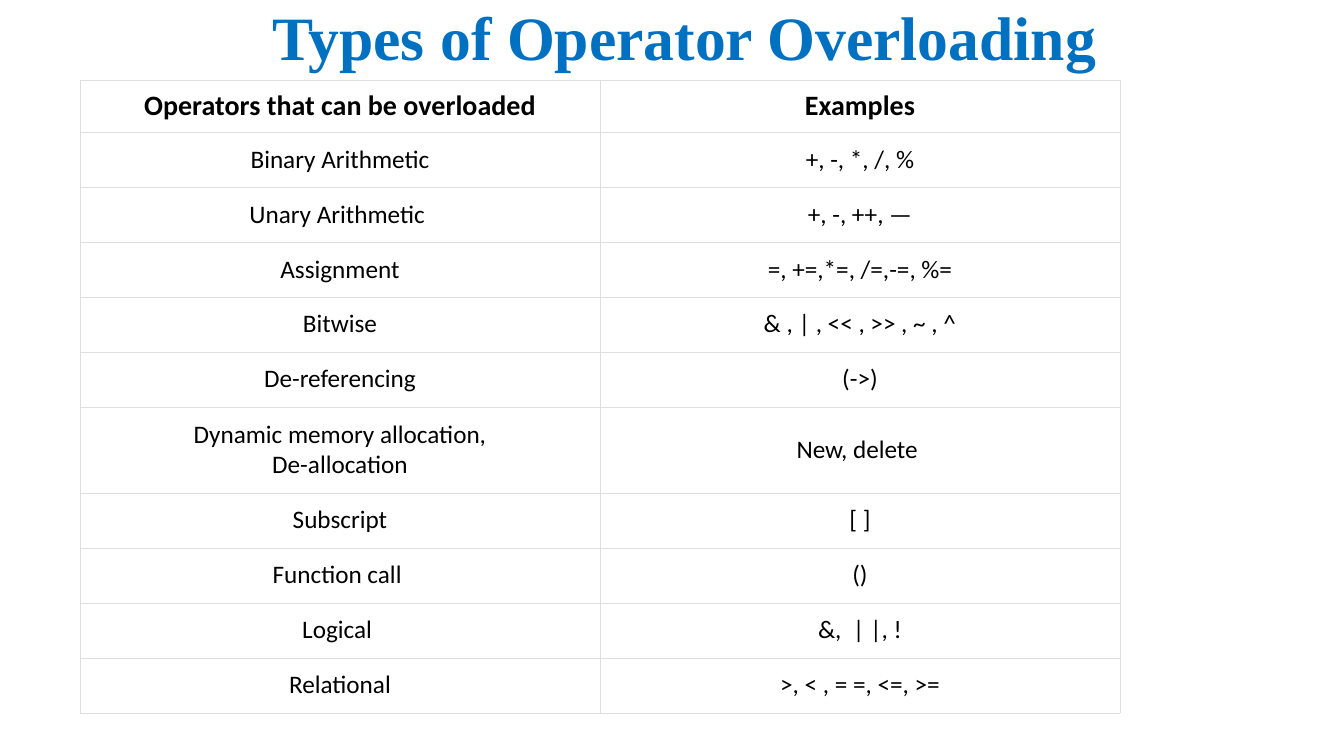
from lxml.etree import SubElement as Sub
from pptx import Presentation
from pptx.dml.color import RGBColor
from pptx.enum.text import MSO_ANCHOR as Anchor, PP_ALIGN as Align
from pptx.oxml.ns import qn
from pptx.util import Emu, Pt

SCALE = 914400 / 100.8
HEAD = ("Operators that can be overloaded", "Examples")
ROWS = [
    ("Binary Arithmetic", "+, -, *, /, %"),
    ("Unary Arithmetic ", "+, -, ++, —"),
    ("Assignment", "=, +=,*=, /=,-=, %="),
    ("Bitwise", "& , | , << , >> , ~ , ^"),
    ("De-referencing", "(->)"),
    ("Dynamic memory allocation,\vDe-allocation", "New, delete "),
    ("Subscript", "[ ]"),
    ("Function call ", "()"),
    ("Logical ", "&,  | |, !"),
    ("Relational", ">, < , = =, <=, >="),
]


def px(count):
    return Emu(round(count * SCALE))


def color(code):
    return RGBColor.from_string(code)


def style(para, face, size, code, bold):
    para.alignment = Align.CENTER
    font = para.font
    font.name, font.size, font.bold = face, Pt(size), bold
    font.color.rgb = color(code)


def add_title(slide, text, left, top, width, height):
    box = slide.shapes.add_textbox(px(left), px(top), px(width), px(height))
    frame = box.text_frame
    frame.word_wrap = True
    frame.vertical_anchor = Anchor.MIDDLE
    frame.text = text
    para = frame.paragraphs[0]
    para.line_spacing = 0.9
    style(para, "Times New Roman", 44, "0070C0", True)


def add_edges(cell, code, width):
    props = cell._tc.get_or_add_tcPr()
    for side in ("a:lnL", "a:lnR", "a:lnT", "a:lnB"):
        line = Sub(props, qn(side), w=str(Pt(width)))
        fill = Sub(line, qn("a:solidFill"))
        Sub(fill, qn("a:srgbClr"), val=code)


def fill_cell(cell, text, size, bold, side, edge):
    add_edges(cell, "DFDFDF", 0.23)
    cell.fill.solid()
    cell.fill.fore_color.rgb = color("FFFFFF")
    cell.vertical_anchor = Anchor.MIDDLE
    cell.margin_left = cell.margin_right = px(side)
    cell.margin_top = cell.margin_bottom = px(edge)
    cell.text = text
    style(cell.text_frame.paragraphs[0], "Calibri", size, "000000", bold)


def add_grid(slide, left, top, width):
    data = [HEAD, *ROWS]
    shape = slide.shapes.add_table(
        len(data), len(HEAD), px(left), px(top), px(width), px(633))
    table = shape.table
    table.first_row = table.horz_banding = False
    for r, texts in enumerate(data):
        # Two-line rows are taller
        tall = any("\v" in text for text in texts)
        table.rows[r].height = px(52 if r == 0 else 86 if tall else 55)
        for c, text in enumerate(texts):
            cell = table.cell(r, c)
            if r == 0:
                fill_cell(cell, text, 20, True, 9 if c else 4, 9)
            else:
                fill_cell(cell, text, 18, False, 9, 12)


def main():
    deck = Presentation()
    deck.slide_width, deck.slide_height = px(1344), px(756)
    slide = deck.slides.add_slide(deck.slide_layouts[6])

    # Heading
    add_title(slide, "Types of Operator Overloading", 105, 0, 1159, 81)

    # Operator table
    add_grid(slide, 80, 80, 1040)

    deck.save("out.pptx")


if __name__ == "__main__":
    main()
